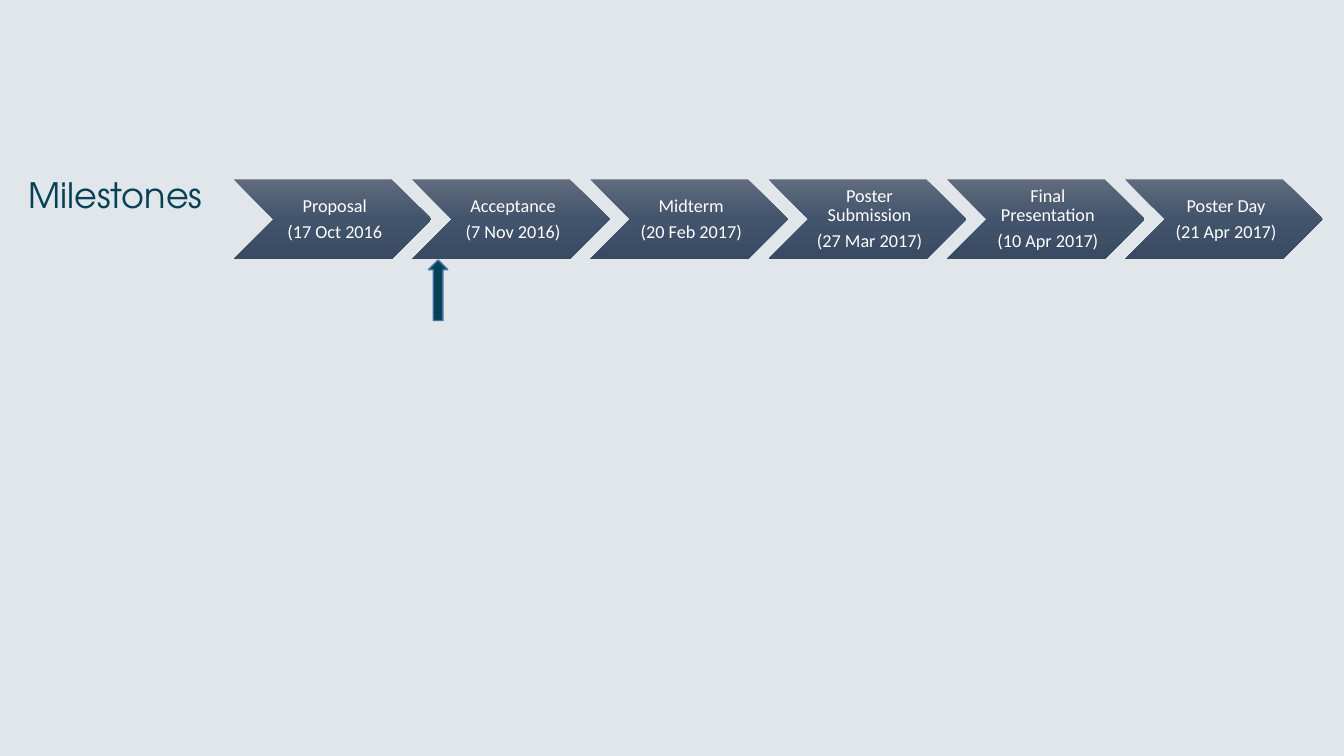
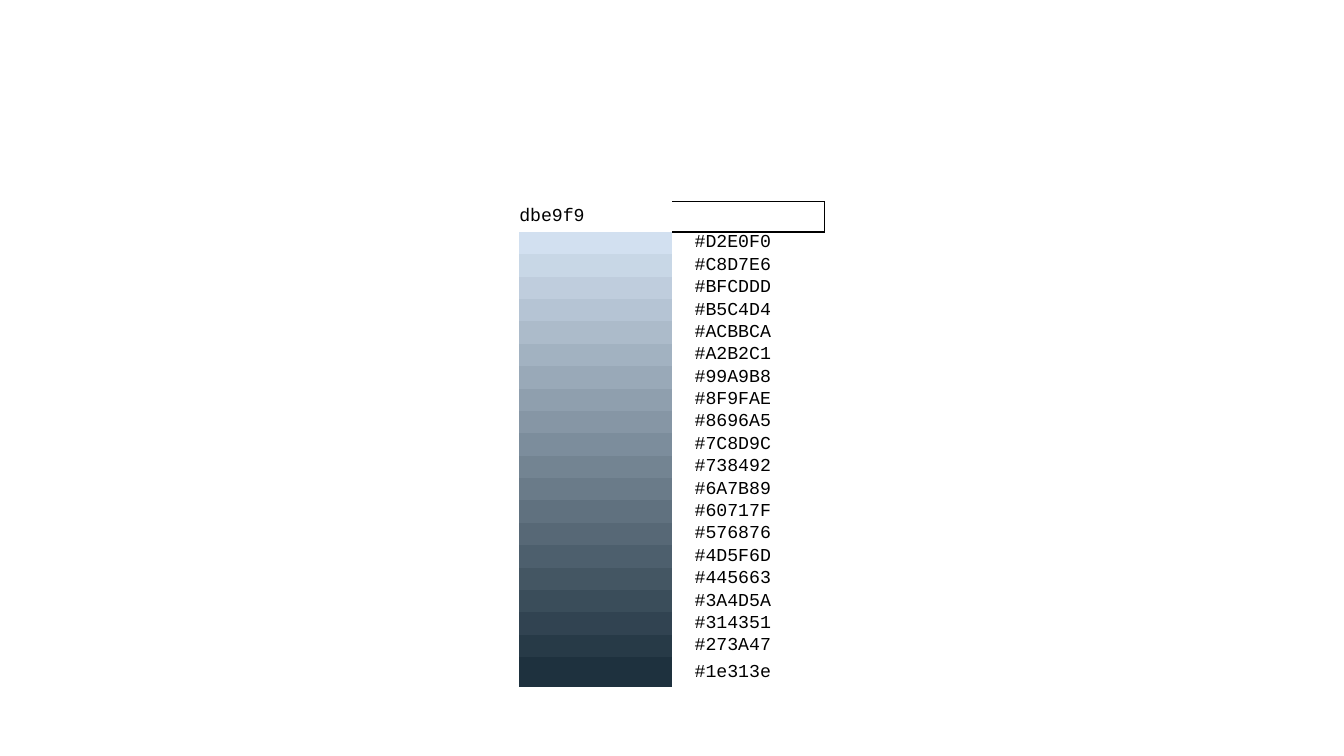
"""Build a milestone timeline slide and a colour palette slide."""
from copy import deepcopy

from lxml.etree import SubElement
from pptx import Presentation
from pptx.dml.color import RGBColor
from pptx.enum.shapes import MSO_SHAPE
from pptx.enum.text import MSO_ANCHOR, MSO_AUTO_SIZE, PP_ALIGN
from pptx.oxml.ns import qn
from pptx.util import Inches, Pt

WHITE = RGBColor(0xFF, 0xFF, 0xFF)
BLACK = RGBColor(0x00, 0x00, 0x00)
PALE = RGBColor(0xE1, 0xE6, 0xEB)
TEAL = RGBColor(0x06, 0x41, 0x56)
OUTLINE = RGBColor(0x43, 0x73, 0x9E)
GRADIENT = [
    (0, RGBColor(0x60, 0x6B, 0x7D)),
    (0.5, RGBColor(0x42, 0x54, 0x6C)),
    (1, RGBColor(0x39, 0x4A, 0x62)),
]
NO_STYLE = "{2D5ABB26-0587-4C30-8999-92F81FD0307C}"


def add_slide(layout, color):
    s = prs.slides.add_slide(prs.slide_layouts[layout])
    s.background.fill.solid()
    s.background.fill.fore_color.rgb = color
    return s


def style(p, font, size, color):
    for r in p.runs:
        r.font.name = font
        r.font.size = Pt(size)
        r.font.color.rgb = color


prs = Presentation()
prs.slide_width = Inches(13.33)
prs.slide_height = Inches(7.5)

s = add_slide(5, PALE)
title = s.shapes.title
title.left, title.top = Inches(0.18), Inches(1.67)
title.width, title.height = Inches(2.72), Inches(0.52)
tf = title.text_frame
tf.text = "Milestones"
tf.auto_size = MSO_AUTO_SIZE.NONE
tf.vertical_anchor = MSO_ANCHOR.TOP
tf.paragraphs[0].alignment = PP_ALIGN.LEFT
style(tf.paragraphs[0], "TeX Gyre Adventor", 25, TEAL)

milestones = [
    ("Proposal", "(17 Oct 2016"),
    ("Acceptance", "(7 Nov 2016)"),
    ("Midterm", "(20 Feb 2017)"),
    ("Poster Submission", "(27 Mar 2017)"),
    ("Final Presentation", "(10 Apr 2017)"),
    ("Poster Day", "(21 Apr 2017)"),
]
pitch = (11.16 - 2.32) / (len(milestones) - 1)
for i, lines in enumerate(milestones):
    sp = s.shapes.add_shape(MSO_SHAPE.CHEVRON, Inches(2.32 + i * pitch),
                            Inches(1.78), Inches(1.96), Inches(0.79))
    sp.shadow.inherit = False
    sp.line.fill.background()
    sp.fill.gradient()
    sp.fill.gradient_angle = 270
    stops = sp._element.spPr.find(".//" + qn("a:gsLst"))
    stops.append(deepcopy(stops[0]))
    for stop, (position, color) in zip(sp.fill.gradient_stops, GRADIENT):
        stop.position = position
        stop.color.rgb = color
    tf = sp.text_frame
    tf.word_wrap = True
    tf.vertical_anchor = MSO_ANCHOR.MIDDLE
    tf.margin_left = Inches(0.06)
    tf.margin_top = tf.margin_right = tf.margin_bottom = Inches(0.02)
    tf.text = "\n".join(lines)
    for p in tf.paragraphs:
        p.alignment = PP_ALIGN.CENTER
        p.line_spacing = 0.9
        p.space_after = Pt(4.5)
        style(p, "Calibri", 13, WHITE)

arrow = s.shapes.add_shape(MSO_SHAPE.UP_ARROW, Inches(4.25), Inches(2.58),
                           Inches(0.19), Inches(0.6))
arrow.shadow.inherit = False
arrow.fill.solid()
arrow.fill.fore_color.rgb = TEAL
arrow.line.color.rgb = OUTLINE
arrow.line.width = Pt(1)

s = add_slide(6, WHITE)
codes = [
    "#D2E0F0", "#C8D7E6", "#BFCDDD", "#B5C4D4", "#ACBBCA", "#A2B2C1", "#99A9B8",
    "#8F9FAE", "#8696A5", "#7C8D9C", "#738492", "#6A7B89", "#60717F", "#576876",
    "#4D5F6D", "#445663", "#3A4D5A", "#314351", "#273A47", "#1e313e",
]
rows = [("dbe9f9", "")] + [("", code) for code in codes]
table = s.shapes.add_table(len(rows), 2, Inches(5.15), Inches(2),
                           Inches(3.03), Inches(4.82)).table
table.first_row = table.horz_banding = False
table._tbl.tblPr.find(qn("a:tableStyleId")).text = NO_STYLE
table.columns[0].width = Inches(1.52)
table.columns[1].width = Inches(1.51)
end_height = 0.3
swatch_height = (4.82 - 2 * end_height) / (len(rows) - 2)
for i, texts in enumerate(rows):
    is_end = i in (0, len(rows) - 1)
    table.rows[i].height = Inches(end_height if is_end else swatch_height)
    for j, text in enumerate(texts):
        cell = table.cell(i, j)
        cell.vertical_anchor = MSO_ANCHOR.MIDDLE
        cell.margin_left = Inches(0.22 * j)
        cell.margin_top = cell.margin_right = cell.margin_bottom = 0
        p = cell.text_frame.paragraphs[0]
        if text:
            p.text = text
            style(p, "Courier New", 13, BLACK)
        else:
            SubElement(p._p, qn("a:endParaRPr"), sz="1300")
        if i or not j:
            is_swatch = i and not j
            cell.fill.solid()
            cell.fill.fore_color.rgb = (
                RGBColor.from_string(texts[1][1:].upper()) if is_swatch else WHITE)

tc_pr = table.cell(0, 1)._tc.get_or_add_tcPr()
for side, width in [("a:lnR", 0.75), ("a:lnT", 0.75), ("a:lnB", 1.5)]:
    ln = SubElement(tc_pr, qn(side), w=str(Pt(width)))
    SubElement(SubElement(ln, qn("a:solidFill")), qn("a:srgbClr"), val=str(BLACK))

prs.save("out.pptx")
